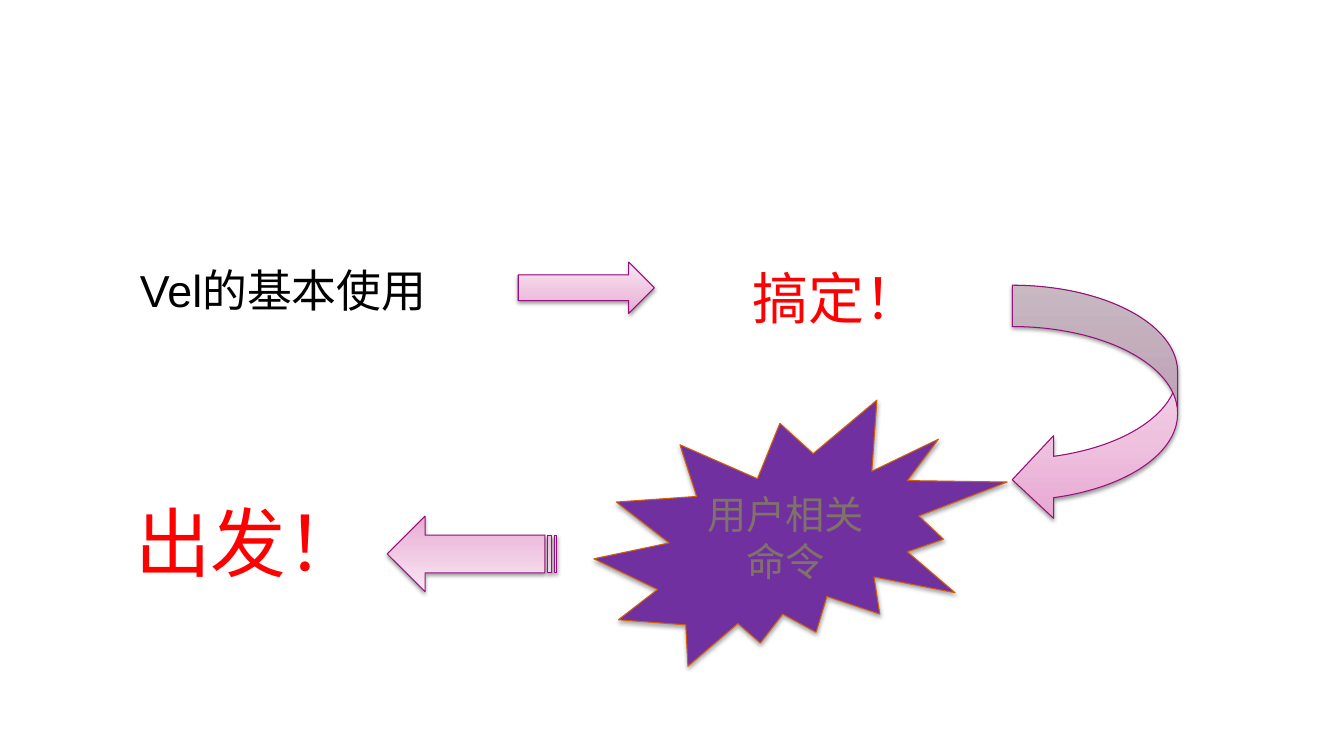
from copy import deepcopy
from dataclasses import dataclass

from lxml import etree
from pptx import Presentation
from pptx.dml.color import RGBColor
from pptx.enum.shapes import MSO_SHAPE
from pptx.enum.text import MSO_ANCHOR, PP_ALIGN
from pptx.oxml.ns import qn
from pptx.util import Inches, Pt

RIGHT = MSO_SHAPE.RIGHT_ARROW
CURVED = MSO_SHAPE.CURVED_LEFT_ARROW
STRIPED = MSO_SHAPE.STRIPED_RIGHT_ARROW
BURST = MSO_SHAPE.EXPLOSION2
LEFT, CENTER = PP_ALIGN.LEFT, PP_ALIGN.CENTER
MIDDLE = MSO_ANCHOR.MIDDLE


@dataclass(frozen=True)
class Theme:
    font: str = "Arial"
    ink: str = "000000"
    alert: str = "FF0000"
    burst: str = "7030A0"
    edge: str = "D25E07"
    label: str = "80716A"
    rim: str = "94107B"
    blend: tuple = ((0, "E8A7D3"), (0.35, "EEC2DF"), (1, "F9E7F3"))
    line: float = 0.75
    topic: int = 32
    done: int = 40
    task: int = 28
    go: int = 54


THEME = Theme()


def rgb(code):
    return RGBColor.from_string(code)


def write(frame, text, size, color, align=LEFT):
    para = frame.paragraphs[0]
    para.alignment = align
    run = para.add_run()
    run.text = text
    run.font.name = THEME.font
    run.font.size = Pt(size)
    run.font.color.rgb = rgb(color)


def add_text(slide, box, text, size, color, align=LEFT, wrap=True):
    frame = slide.shapes.add_textbox(*map(Inches, box)).text_frame
    frame.word_wrap = wrap
    write(frame, text, size, color, align)


def add_form(slide, kind, box, rim, alpha, drop):
    """Add a preset shape with a thin rim and a soft shadow below it."""
    form = slide.shapes.add_shape(kind, *map(Inches, box))
    form.line.color.rgb = rgb(rim)
    form.line.width = Pt(THEME.line)
    form.shadow.inherit = False
    effects = form.element.spPr.find(qn("a:effectLst"))
    shade = etree.SubElement(
        effects, qn("a:outerShdw"), blurRad=str(Pt(3.1)), dist=str(Pt(drop)),
        dir="5400000", rotWithShape="0")
    tone = etree.SubElement(shade, qn("a:srgbClr"), val="000000")
    etree.SubElement(tone, qn("a:alpha"), val=str(alpha * 1000))
    return form


def add_arrow(slide, kind, box, turn=0):
    arrow = add_form(slide, kind, box, THEME.rim, 38, 1.6)
    arrow.rotation = turn
    fill = arrow.fill
    fill.gradient()
    fill.gradient_angle = 90
    stops = arrow.element.spPr.find(qn("a:gradFill")).find(qn("a:gsLst"))
    stops.append(deepcopy(stops[0]))
    for stop, (place, color) in zip(fill.gradient_stops, THEME.blend):
        stop.position = place
        stop.color.rgb = rgb(color)


def add_burst(slide, box, text):
    burst = add_form(slide, BURST, box, THEME.edge, 35, 1.8)
    burst.fill.solid()
    burst.fill.fore_color.rgb = rgb(THEME.burst)
    frame = burst.text_frame
    frame.word_wrap = True
    frame.vertical_anchor = MIDDLE
    write(frame, text, THEME.task, THEME.label, CENTER)


def top_row(slide, x, y):
    """Place the finished topic and its result from the given corner."""
    add_text(slide, (x, y - 0.01, 3.7, 0.64), "Vel的基本使用", THEME.topic,
             THEME.ink)
    add_arrow(slide, RIGHT, (x + 3.85, y + 0.03, 1.35, 0.51))
    add_text(slide, (x + 6.08, y, 3.83, 0.77), "搞定！", THEME.done, THEME.alert)


def low_row(slide, x, y):
    """Place the next topic and the call to start from the given corner."""
    add_burst(slide, (x + 4.65, y, 4.1, 2.64), "用户相关命令")
    add_arrow(slide, STRIPED, (x + 2.6, y + 1.15, 1.68, 0.75), 180)
    add_text(slide, (x, y + 0.9, 2.45, 1.01), "出发！", THEME.go, THEME.alert,
             CENTER, False)


def main():
    deck = Presentation()
    deck.slide_width, deck.slide_height = Inches(13.33), Inches(7.5)
    slide = deck.slides.add_slide(deck.slide_layouts[6])
    top_row(slide, 1.29, 2.57)
    add_arrow(slide, CURVED, (10.04, 2.83, 1.64, 2.34))
    low_row(slide, 1.24, 3.97)
    deck.save("out.pptx")


if __name__ == "__main__":
    main()
